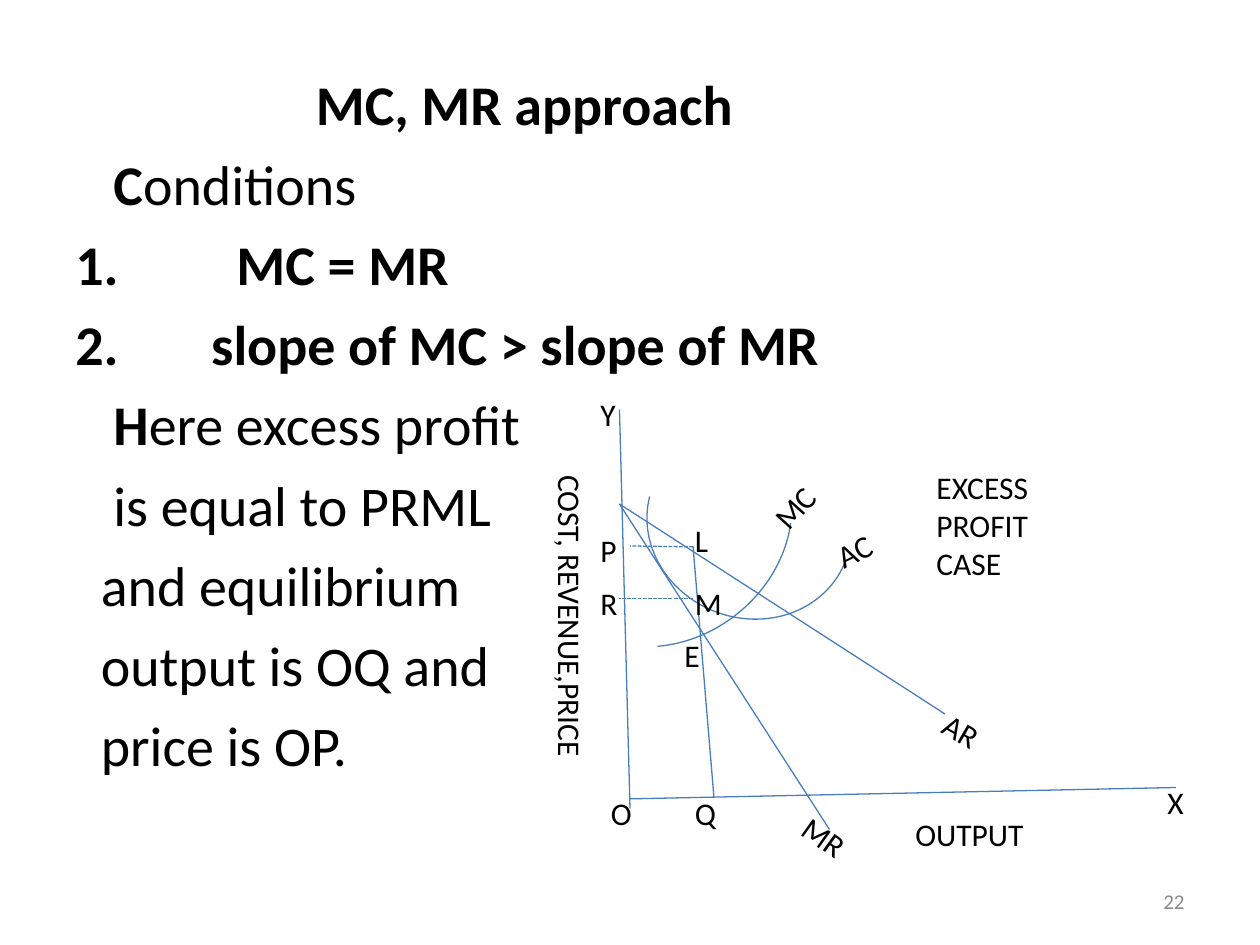
from pptx import Presentation
from pptx.util import Pt
from pptx.dml.color import RGBColor as RGB
from pptx.enum.dml import MSO_LINE as Dash
from pptx.enum.shapes import MSO_SHAPE as Kind, MSO_CONNECTOR as Link
from pptx.enum.text import PP_ALIGN as Align, MSO_ANCHOR as Anchor
from lxml.etree import SubElement as Sub
from pptx.oxml.ns import qn


def paint(item, tone):
    item.rgb = RGB.from_string(tone)


def label(text, x, y, w, h=29, turn=0, size=18, tone="000000"):
    box = slide.shapes.add_textbox(Pt(x), Pt(y), Pt(w), Pt(h))
    box.rotation = turn
    frame = box.text_frame
    frame.word_wrap = True
    frame.text = text
    for run in frame.paragraphs[0].runs:
        run.font.name, run.font.size = "Calibri", Pt(size)
        paint(run.font.color, tone)
    return frame


deck = Presentation()
deck.slide_width, deck.slide_height = Pt(720), Pt(540)
slide = deck.slides.add_slide(deck.slide_layouts[6])
blue = "4A7EBB"

# Main text: left margin, numbered, bold part, plain part
rows = [
    (137.4, False, "MC, MR approach", ""),
    (21.7, False, "C", "onditions"),
    (92, True, "MC = MR", ""),
    (77.6, True, "slope of MC > slope of MR", ""),
    (21.7, False, "H", "ere excess profit"),
    (21.7, False, "", "is equal to PRML"),
    (14.5, False, "", "and equilibrium"),
    (14.5, False, "", "output is OQ and"),
    (14.5, False, "", "price is OP."),
]
body = slide.shapes.add_textbox(Pt(36), Pt(36), Pt(666), Pt(480)).text_frame
body.word_wrap = True
for n, (left, count, bold, plain) in enumerate(rows):
    para = body.add_paragraph() if n else body.paragraphs[0]
    props = para._p.get_or_add_pPr()
    props.set("marL", str(Pt(left)))
    props.set("indent", str(-Pt(left) if count else 0))
    if count:
        Sub(props, qn("a:buFont"), typeface="+mj-lt")
        Sub(props, qn("a:buAutoNum"), type="arabicPeriod")
    if n:
        para.space_before = Pt(7.4)
    for text, heavy in ((bold, True), (plain, False)):
        if text:
            run = para.add_run()
            run.text = text
            run.font.name, run.font.size, run.font.bold = "Calibri", Pt(32), heavy
            paint(run.font.color, "000000")

# Slide number
page = label("22", 516, 500.4, 168, size=12, tone="898989")
page.vertical_anchor = Anchor.MIDDLE
page.paragraphs[0].alignment = Align.RIGHT

# Axes, revenue lines, output line and dashed price levels
lines = [
    (354, 234, 360, 462, False),
    (360, 456.5, 672, 450, False),
    (354, 288, 474, 474, False),
    (354, 288, 540, 408, False),
    (396, 312, 408, 456, False),
    (396, 342, 354, 342, True),
    (396, 312.5, 360, 312, True),
]
for x1, y1, x2, y2, dashed in lines:
    line = slide.shapes.add_connector(Link.STRAIGHT, Pt(x1), Pt(y1), Pt(x2), Pt(y2))
    Sub(line._element.spPr, qn("a:effectLst"))
    paint(line.line.color, blue)
    line.line.width = Pt(0.75)
    if dashed:
        line.line.dash_style = Dash.SQUARE_DOT

# Cost curves AC and MC: box, turn, start and end angle
arcs = [
    (374.4, 240.5, 107.3, 118, 110.5, 270, 85),
    (305.3, 236.9, 151.2, 128.2, 142.3, 216, 312),
]
for x, y, w, h, turn, start, end in arcs:
    arc = slide.shapes.add_shape(Kind.ARC, Pt(x), Pt(y), Pt(w), Pt(h))
    arc.shadow.inherit = False
    arc.rotation = turn
    # Angles are stored in 60000ths of a degree, adjustments in 100000ths
    arc.adjustments[0], arc.adjustments[1] = start * 0.6, end * 0.6
    arc.fill.background()
    paint(arc.line.color, blue)
    arc.line.width = Pt(0.75)

# Labels: text, left, top, width, height, turn
for mark in [
    ("MR", 450, 468, 54, 29, 35.5),
    ("AR", 531.4, 406, 46, 29, 30.1),
    ("AC", 471, 299.5, 36, 29, 333.3),
    ("MC", 432, 270, 54, 29, 312.1),
    ("Q", 390, 450, 39),
    ("P", 336, 300, 27),
    ("R", 336, 330, 24),
    ("L", 390, 294, 27),
    ("M", 390, 330, 27),
    ("E", 384, 360, 27),
    ("O", 342, 450, 27),
    ("Y", 336, 222, 18),
    ("X", 660, 444, 21),
    ("OUTPUT", 516, 462, 114),
    ("COST, REVENUE,PRICE", 236, 340, 180, 29, 90),
    ("EXCESS PROFIT CASE", 528, 264, 84, 72),
]:
    label(*mark)

deck.save("out.pptx")
